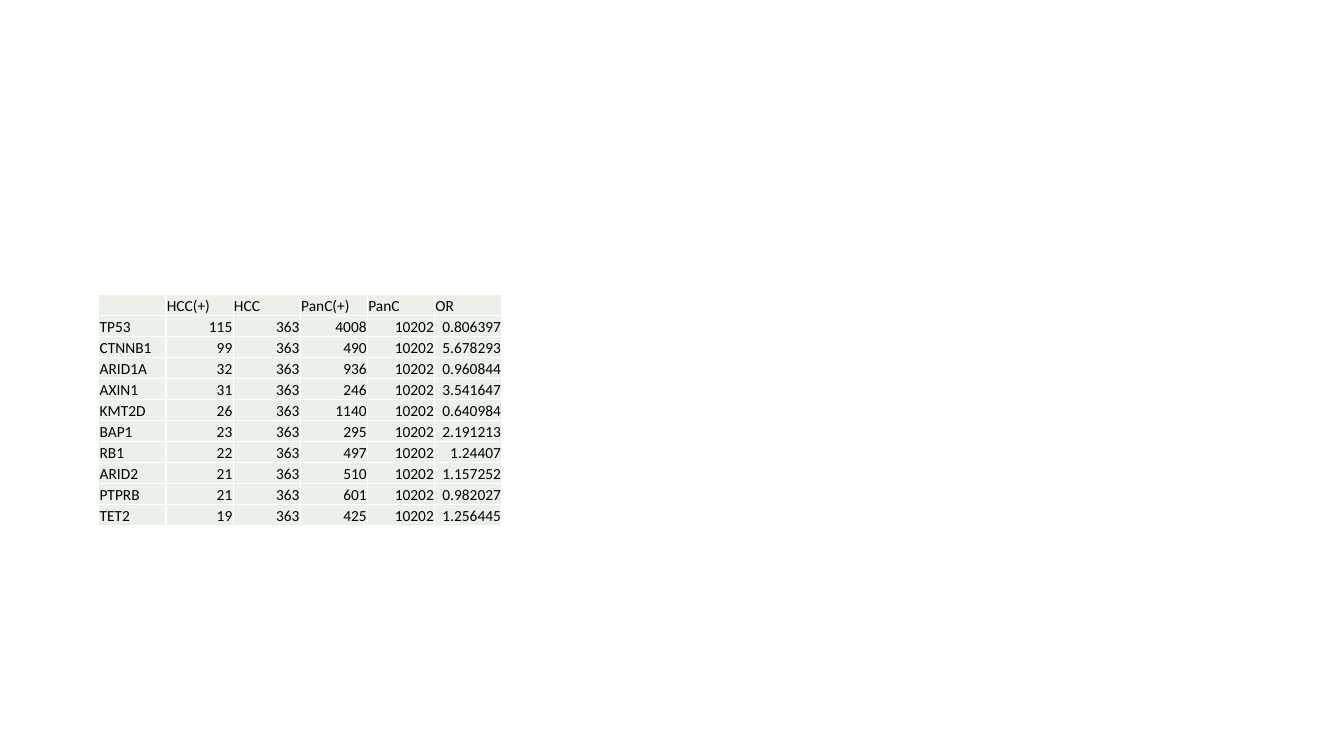
"""Build a slide with a table of gene mutation counts and odds ratios."""
import lxml.etree
import pptx
import pptx.dml.color
import pptx.enum.text
import pptx.oxml.ns
import pptx.util

HEADERS = ["", "HCC(+)", "HCC", "PanC(+)", "PanC", "OR"]
HCC_TOTAL, PANC_TOTAL = "363", "10202"
GENES = [
    ("TP53", "115", "4008", "0.806397"),
    ("CTNNB1", "99", "490", "5.678293"),
    ("ARID1A", "32", "936", "0.960844"),
    ("AXIN1", "31", "246", "3.541647"),
    ("KMT2D", "26", "1140", "0.640984"),
    ("BAP1", "23", "295", "2.191213"),
    ("RB1", "22", "497", "1.24407"),
    ("ARID2", "21", "510", "1.157252"),
    ("PTPRB", "21", "601", "0.982027"),
    ("TET2", "19", "425", "1.256445"),
]
CELL_FILL, BORDER, TEXT = "EBF1E9", "FFFFFF", "000000"
FONT_SIZE = pptx.util.Pt(11)
LEFT, TOP = pptx.util.Cm(2.49), pptx.util.Cm(7.42)
TABLE_WIDTH, ROW_HEIGHT = pptx.util.Cm(10.16), pptx.util.Cm(0.53)
INSET = pptx.util.Cm(0.02)
qn = pptx.oxml.ns.qn


def paint(color_format, color):
    color_format.rgb = pptx.dml.color.RGBColor.from_string(color)


def add_borders(cell):
    properties = cell._tc.get_or_add_tcPr()
    for position, side in enumerate(("a:lnL", "a:lnR", "a:lnT", "a:lnB")):
        line = lxml.etree.Element(qn(side), w=str(pptx.util.Pt(1)))
        fill = lxml.etree.SubElement(line, qn("a:solidFill"))
        lxml.etree.SubElement(fill, qn("a:srgbClr"), val=BORDER)
        properties.insert(position, line)


def fill_cell(cell, text, is_number):
    cell.margin_left = cell.margin_right = cell.margin_top = INSET
    cell.margin_bottom = 0
    cell.vertical_anchor = pptx.enum.text.MSO_ANCHOR.BOTTOM
    cell.fill.solid()
    paint(cell.fill.fore_color, CELL_FILL)
    add_borders(cell)
    para = cell.text_frame.paragraphs[0]
    align = pptx.enum.text.PP_ALIGN
    para.alignment = align.RIGHT if is_number else align.LEFT
    para.font.name = "Calibri"
    para.font.size = FONT_SIZE
    paint(para.font.color, TEXT)
    if text:
        para.add_run().text = text
    else:
        size = str(FONT_SIZE.centipoints)
        lxml.etree.SubElement(para._p, qn("a:endParaRPr"), sz=size)


def main():
    deck = pptx.Presentation()
    deck.slide_width, deck.slide_height = pptx.util.Cm(33.87), pptx.util.Cm(19.05)
    page = deck.slides.add_slide(deck.slide_layouts[6])
    rows = [HEADERS] + [
        [gene, hcc, HCC_TOTAL, panc, PANC_TOTAL, ratio]
        for gene, hcc, panc, ratio in GENES
    ]
    table = page.shapes.add_table(
        len(rows), len(HEADERS), LEFT, TOP, TABLE_WIDTH, ROW_HEIGHT * len(rows)
    ).table
    table.first_row = table.horz_banding = False
    for row_index, row in enumerate(rows):
        for column_index, text in enumerate(row):
            is_number = row_index > 0 and column_index > 0
            fill_cell(table.cell(row_index, column_index), text, is_number)
    deck.save("out.pptx")


if __name__ == "__main__":
    main()
